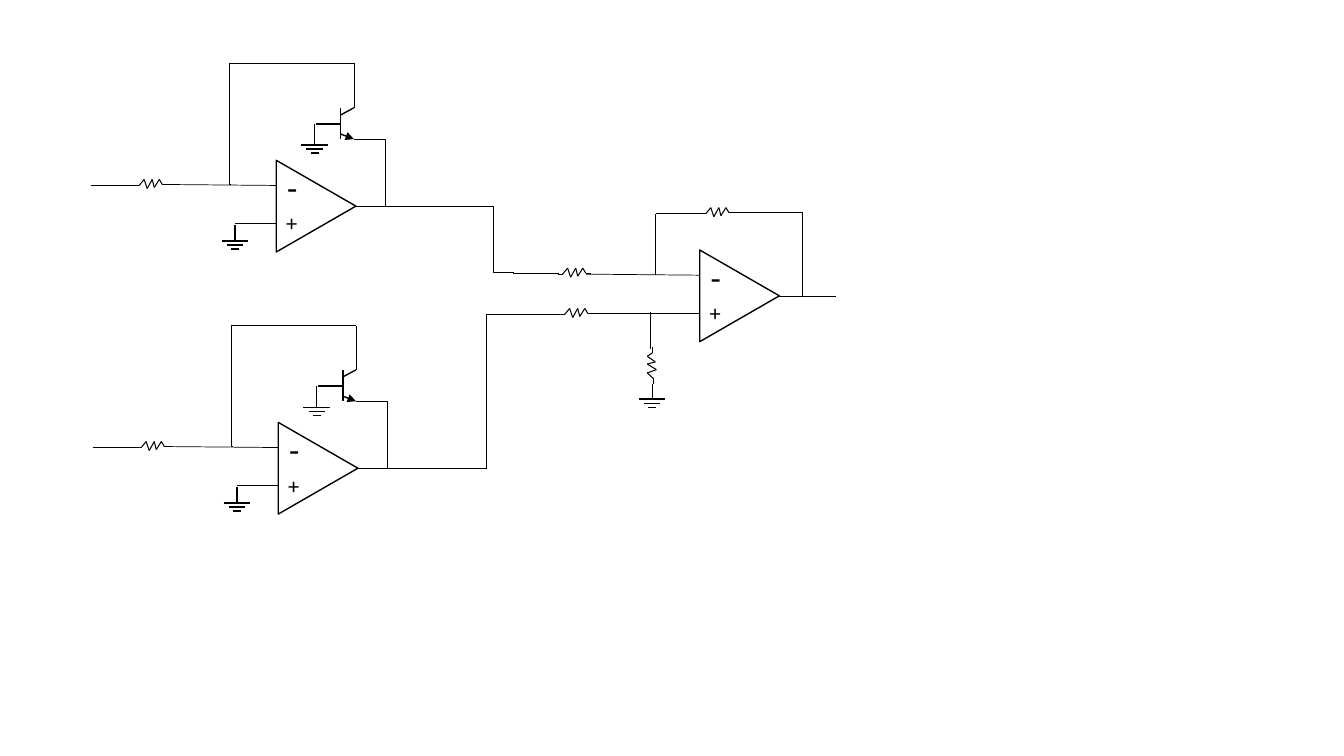
from itertools import pairwise

from lxml.etree import SubElement
from pptx import Presentation
from pptx.dml.color import RGBColor
from pptx.enum.shapes import MSO_CONNECTOR_TYPE as Wire, MSO_SHAPE as Shape
from pptx.enum.text import MSO_AUTO_SIZE as AutoSize
from pptx.oxml.ns import qn
from pptx.util import Inches, Pt

BLACK = "000000"
THIN, MEDIUM, THICK = 0.5, 0.75, 1

# Zigzag of a resistor: distance along the wire, offset across it
ZIGZAG = [(0, 0), (0.05, 0), (0.1, -0.06), (0.13, 0.03), (0.18, -0.06),
          (0.2, 0.02), (0.25, -0.06), (0.28, -0.01), (0.33, -0.01)]


def color(value):
    return RGBColor.from_string(value)


class Circuit:
    """Draws circuit elements on one slide."""

    def __init__(self, page):
        self.page = page
        self.shapes = page.shapes
        self.shift = (0, 0)
        self.font = {"name": "Calibri", "bold": False}

    def start_group(self):
        self.shapes = self.page.shapes.add_group_shape().shapes

    def end_group(self):
        self.shapes = self.page.shapes

    def place(self, x, y):
        return Inches(x + self.shift[0]), Inches(y + self.shift[1])

    def stroke(self, line, width):
        line.color.rgb = color(BLACK)
        line.width = Pt(width)

    def connect(self, kind, start, end, width):
        wire = self.shapes.add_connector(kind, *self.place(*start), *self.place(*end))
        self.stroke(wire.line, width)
        SubElement(wire._element.spPr, qn("a:effectLst"))
        return wire

    def line(self, start, end, width=THIN, arrow=False):
        wire = self.connect(Wire.STRAIGHT, start, end, width)
        if arrow:
            SubElement(wire.line._get_or_add_ln(), qn("a:tailEnd"), type="triangle")

    def elbow(self, start, end, bend):
        """Bent wire whose upright part sits at the share bend of its width."""
        wire = self.connect(Wire.ELBOW, start, end, THIN)
        guides = wire._element.spPr.find(qn("a:prstGeom")).get_or_add_avLst()
        SubElement(guides, qn("a:gd"), name="adj1", fmla=f"val {round(bend * 100000)}")

    def sign(self, text, x, y, height, size):
        box = self.shapes.add_textbox(*self.place(x, y), Inches(0.25), Inches(height))
        for name, value in {"word_wrap": False, "auto_size": AutoSize.SHAPE_TO_FIT_TEXT}.items():
            setattr(box.text_frame, name, value)
        span = box.text_frame.paragraphs[0].add_run()
        span.text = text
        for name, value in (self.font | {"size": Pt(size)}).items():
            setattr(span.font, name, value)
        span.font.color.rgb = color(BLACK)

    def amplifier(self, x, y, plus_wire, output_wire):
        """Triangle with its signs and the wires on its three pins."""
        body = self.shapes.add_shape(Shape.ISOSCELES_TRIANGLE, *self.place(x, y),
                                     Inches(0.91), Inches(0.79))
        body.rotation = 90
        body.shadow.inherit = False
        body.fill.background()
        self.stroke(body.line, THICK)
        self.sign("-", x + 0.07, y - 0.04, 0.44, 24)
        self.sign("+", x + 0.06, y + 0.38, 0.32, 16)
        pin, tip = x + 0.06, x + 0.85
        self.line((x - 1.07, y + 0.18), (pin, y + 0.19))
        self.line((pin - plus_wire, y + 0.57), (pin, y + 0.57))
        self.line((tip, y + 0.4), (tip + output_wire, y + 0.4))

    def resistor(self, x, y, upright=False):
        if upright:
            points = [(x + across, y - 1.1 * along) for along, across in ZIGZAG]
        else:
            points = [(x + along, y + across) for along, across in ZIGZAG]
        for start, end in pairwise(points):
            self.line(start, end, MEDIUM)

    def ground(self, x, top, bottom):
        self.line((x, top), (x, bottom), THICK)
        for row, half in enumerate((0.13, 0.08, 0.04)):
            y = bottom + 0.04 * row
            self.line((x - half, y), (x + half, y), THICK)

    def transistor(self, x, y):
        self.line((x, y), (x, y + 0.31), THICK)
        self.line((x + 0.13, y), (x, y + 0.07), THICK)
        self.line((x, y + 0.26), (x + 0.13, y + 0.31), THICK, arrow=True)
        self.line((x, y + 0.16), (x - 0.25, y + 0.16), THICK)

    def log_stage(self, shift, output_wire):
        """Logarithmic amplifier with a transistor in its feedback loop."""
        self.shift = shift
        self.start_group()
        self.amplifier(2.68, 1.65, 0.41, output_wire)
        self.ground(2.33, 2.23, 2.39)
        self.line((0.9, 1.84), (1.35, 1.84))
        self.resistor(1.33, 1.84)
        self.transistor(3.38, 1.07)
        self.ground(3.12, 1.23, 1.44)
        self.elbow((3.51, 1.38), (3.82, 2.05), 1)
        self.elbow((3.51, 0.63), (2.29, 1.83), 1.01)
        self.line((3.51, 1.07), (3.51, 0.63))
        self.end_group()
        self.shift = (0, 0)


def main():
    deck = Presentation()
    deck.slide_width, deck.slide_height = Inches(13.33), Inches(7.5)
    circuit = Circuit(deck.slides.add_slide(deck.slide_layouts[6]))

    # Difference amplifier
    circuit.start_group()
    circuit.amplifier(6.88, 2.54, 1.11, 0.56)
    circuit.end_group()

    # Its resistors and ground
    for x, y, upright in [(5.53, 2.72, False), (6.95, 2.12, False),
                          (5.55, 3.12, False), (6.48, 3.81, True)]:
        circuit.start_group()
        circuit.resistor(x, y, upright)
        circuit.end_group()
    circuit.start_group()
    circuit.ground(6.47, 3.81, 3.96)
    circuit.end_group()

    # Its feedback loop, input and ground wires
    for start, end in [((7.96, 2.94), (7.96, 2.11)), ((7.28, 2.11), (7.96, 2.11)),
                       ((6.51, 2.12), (6.96, 2.12)), ((6.5, 2.73), (6.5, 2.12)),
                       ((5.09, 2.71), (5.54, 2.71)), ((5.1, 3.12), (5.55, 3.12)),
                       ((6.45, 3.46), (6.45, 3.1))]:
        circuit.line(start, end)

    # Two logarithmic stages
    circuit.log_stage((0, 0), 0.71)
    circuit.log_stage((0.02, 2.6), 1.27)

    # Wires from the stages to the difference amplifier
    circuit.elbow((4.1, 2.05), (5.1, 2.7), 0.79)
    circuit.elbow((4.82, 4.65), (5.21, 3.12), 0)

    deck.save("out.pptx")


if __name__ == "__main__":
    main()
